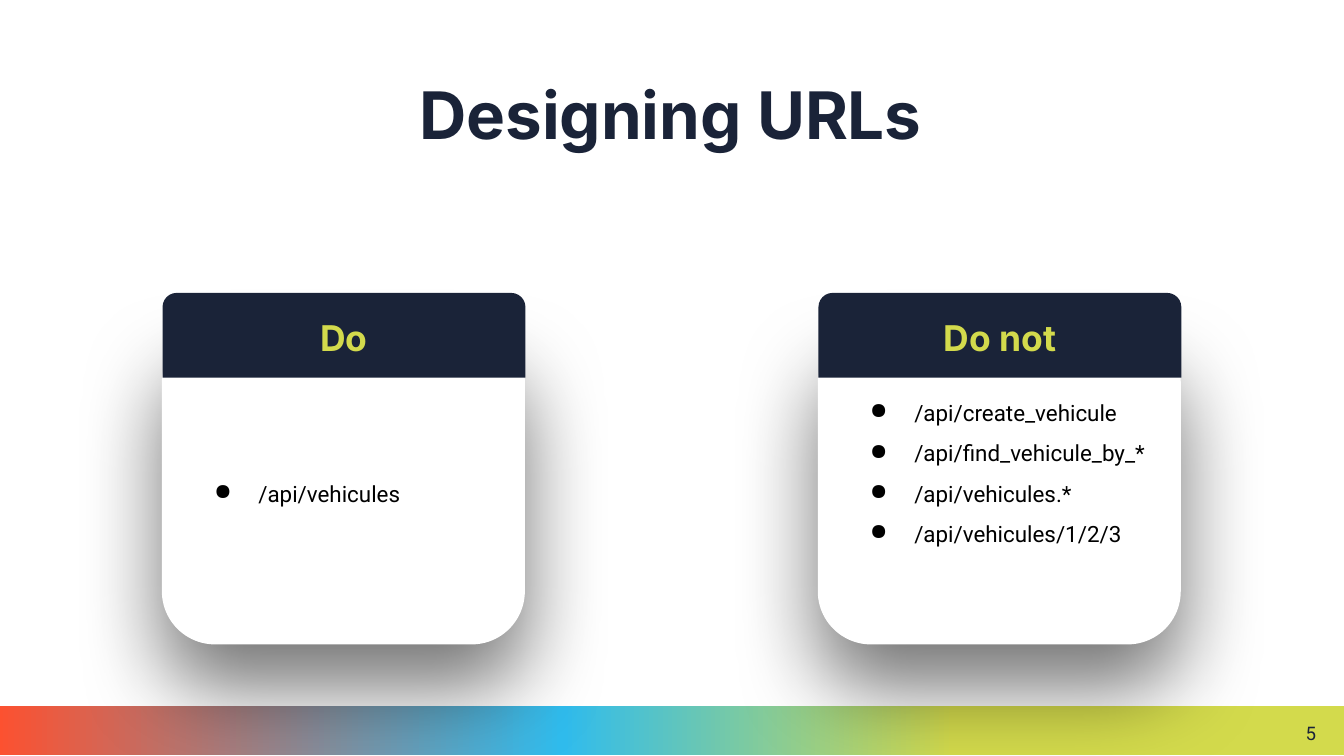
"""Build a slide that compares good and bad URL designs on two cards."""
from lxml.etree import SubElement
from pptx import Presentation
from pptx.dml.color import RGBColor
from pptx.enum.shapes import MSO_SHAPE as Shape
from pptx.enum.text import MSO_ANCHOR as Anchor, MSO_AUTO_SIZE as AutoSize, PP_ALIGN as Align
from pptx.oxml.ns import qn
from pptx.util import Emu, Inches, Pt

COLORS = {"navy": "1A2338", "lime": "D3DA4C", "blue": "30BCED", "red": "FC5130",
          "white": "FFFFFF", "black": "000000"}
TITLE = "Designing URLs"
PAGE_NUMBER = "5"
CARDS = [
    ("Do", ["/api/vehicules"], 0.1),
    ("Do not", ["/api/create_vehicule", "/api/find_vehicule_by_*",
                "/api/vehicules.*", "/api/vehicules/1/2/3"], 0.4),
]
RAINBOW = [(0, "red"), (42, "blue"), (71, "lime"), (100, "lime")]
CARD_LEFT, CARD_STEP = 1.21, 4.88


def rgb(name):
    return RGBColor.from_string(COLORS[name])


def add_bullet(para):
    props = para._p.get_or_add_pPr()
    props.set("marL", str(Inches(0.5)))
    props.set("indent", str(Inches(-0.33)))
    tint = SubElement(props, qn("a:buClr"))
    SubElement(tint, qn("a:srgbClr"), val=COLORS["black"])
    SubElement(props, qn("a:buChar"), char="●")


def write(box, lines, size, color, font="Roboto", bold=False, align=Align.LEFT,
          anchor=Anchor.MIDDLE, bullets=False, spacing=1.0, bottom=0.1):
    frame = box.text_frame
    frame.word_wrap = True
    frame.auto_size = AutoSize.NONE
    frame.vertical_anchor = anchor
    frame.margin_left = frame.margin_right = frame.margin_top = Inches(0.1)
    frame.margin_bottom = Inches(bottom)
    for index, line in enumerate(lines):
        para = frame.add_paragraph() if index else frame.paragraphs[0]
        if bullets:
            add_bullet(para)
        para.alignment = align
        para.line_spacing = spacing
        span = para.add_run()
        span.text = line
        span.font.name = font
        span.font.size = Pt(size)
        span.font.bold = bold
        span.font.color.rgb = rgb(color)


def add_block(shapes, kind, place, fill):
    block = shapes.add_shape(kind, *map(Inches, place))
    block.shadow.inherit = False
    block.fill.solid()
    block.fill.fore_color.rgb = rgb(fill)
    block.line.fill.background()
    return block


def add_shadow(block):
    effects = block.element.spPr.find(qn("a:effectLst"))
    shadow = SubElement(effects, qn("a:outerShdw"), blurRad=str(Pt(47.2)), dist=str(Pt(23.2)),
                        dir="5400000", algn="bl", rotWithShape="0")
    tint = SubElement(shadow, qn("a:srgbClr"), val=COLORS["black"])
    SubElement(tint, qn("a:alpha"), val="54000")


def add_rainbow(page):
    band = add_block(page.shapes, Shape.RECTANGLE, (-0.02, 5.25, 10.02, 0.37), "lime")
    band.fill.gradient()
    band.fill.gradient_angle = 0
    stops = band.element.spPr.find(".//" + qn("a:gsLst"))
    for stop in list(stops):
        stops.remove(stop)
    for percent, color in RAINBOW:
        stop = SubElement(stops, qn("a:gs"), pos=str(percent * 1000))
        SubElement(stop, qn("a:srgbClr"), val=COLORS[color])


def add_card(page, left, heading, urls, bottom):
    shapes = page.shapes.add_group_shape().shapes
    body = add_block(shapes, Shape.ROUNDED_RECTANGLE, (left, 2.45, 2.69, 2.34), "white")
    body.line.color.rgb = rgb("white")
    body.line.width = Pt(0.75)
    add_shadow(body)
    write(body, urls, 12, "black", bullets=True, spacing=1.5, bottom=bottom)
    header = add_block(shapes, Shape.ROUND_2_SAME_RECTANGLE, (left, 2.18, 2.7, 0.63), "navy")
    write(header, [heading], 19, "lime", font="Inter", bold=True, align=Align.CENTER)


def main():
    deck = Presentation()
    deck.slide_width, deck.slide_height = Inches(10), Emu(5143500)
    page = deck.slides.add_slide(deck.slide_layouts[5])
    title = page.shapes.title
    title.left, title.top, title.width, title.height = map(Inches, (0.33, 0.45, 9.32, 0.63))
    write(title, [TITLE], 35.1, "navy", font="Inter", bold=True, align=Align.CENTER,
          anchor=Anchor.TOP)
    add_rainbow(page)
    number = page.shapes.add_textbox(*map(Inches, (9.48, 5.24, 0.41, 0.43)))
    write(number, [PAGE_NUMBER], 10, "navy", align=Align.RIGHT)
    for index, (heading, urls, bottom) in enumerate(CARDS):
        add_card(page, CARD_LEFT + index * CARD_STEP, heading, urls, bottom)
    deck.save("out.pptx")


if __name__ == "__main__":
    main()
